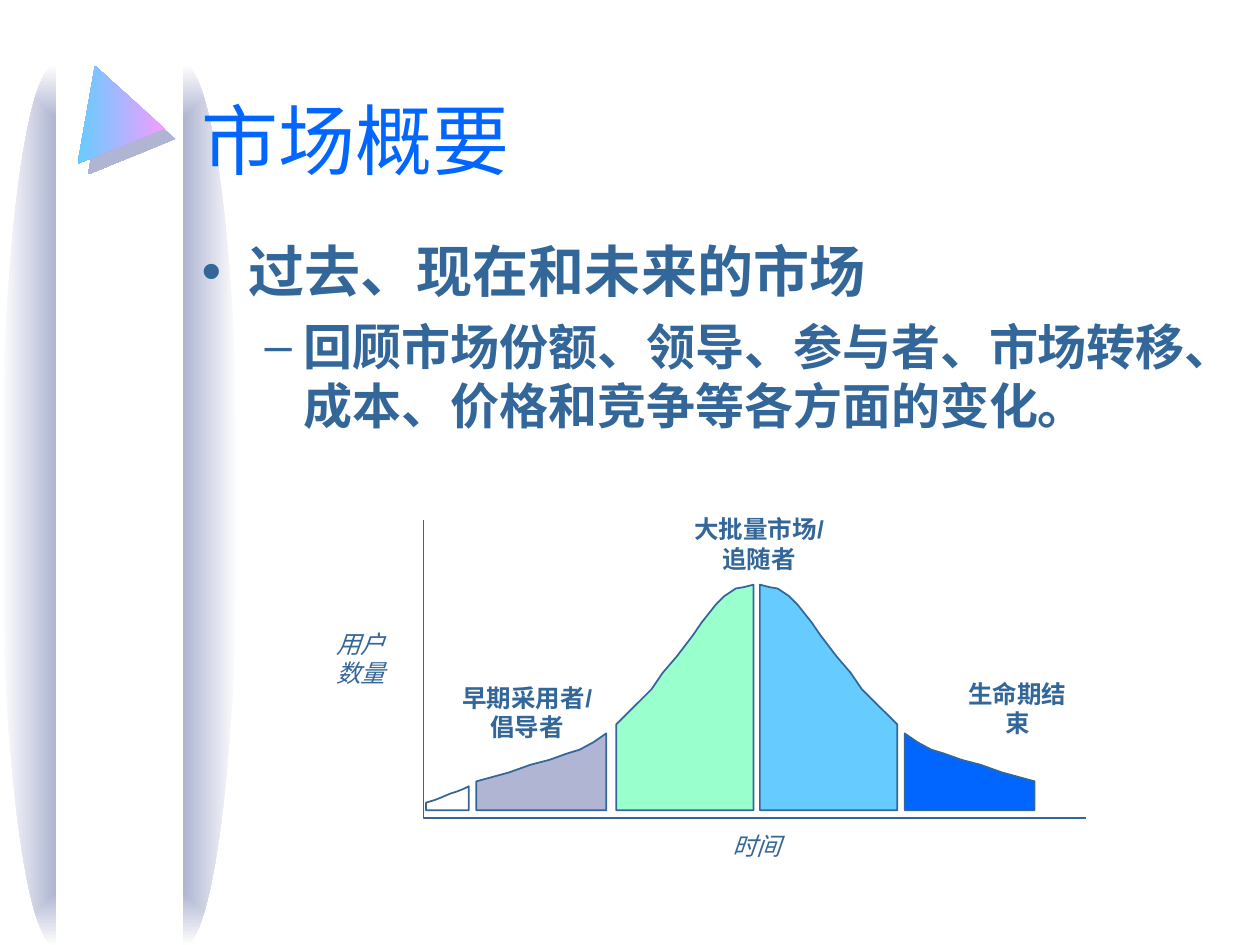
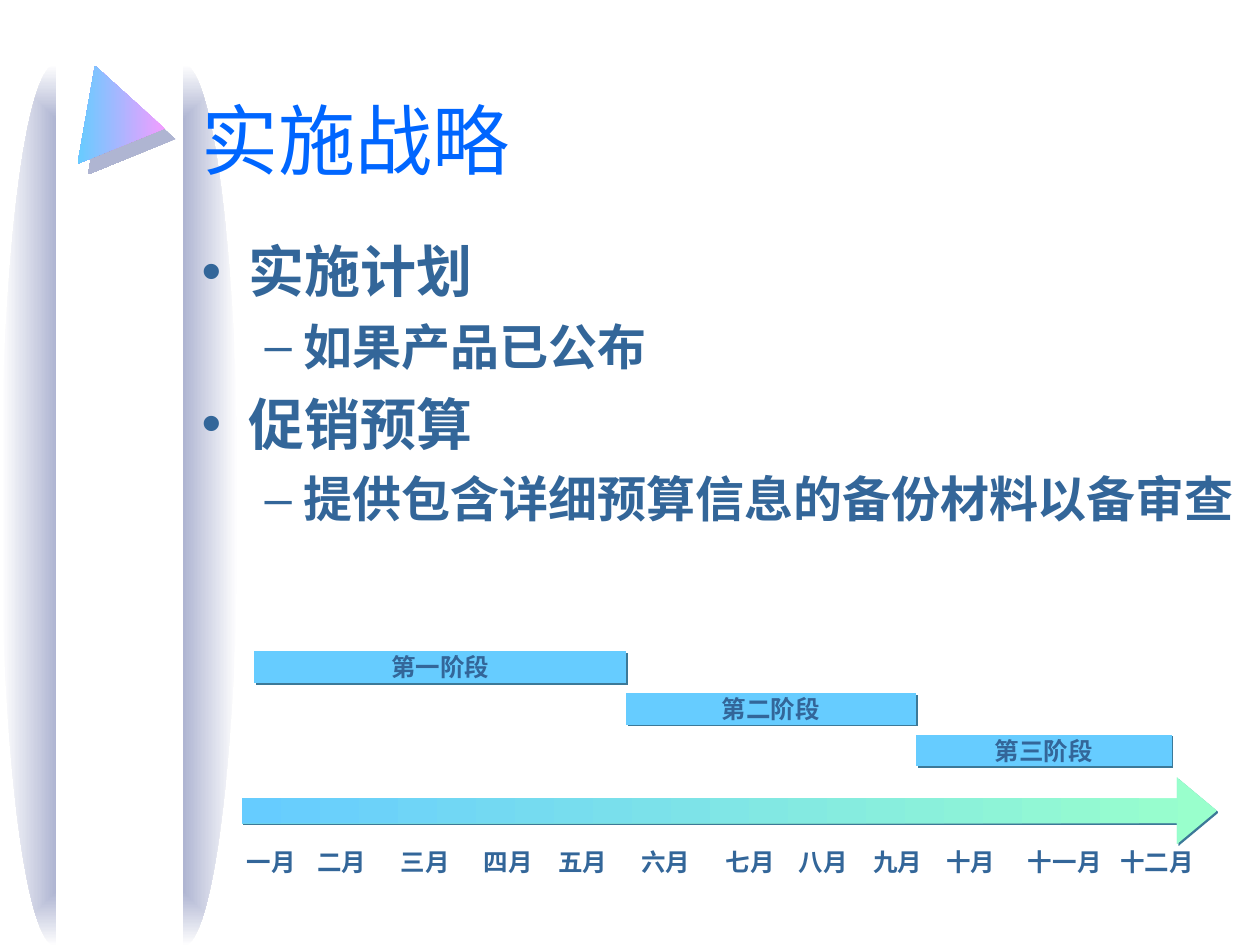
"""Build two slides: a market overview curve and a rollout timeline."""
from lxml.etree import SubElement as Sub
from pptx import Presentation
from pptx.dml.color import RGBColor as Rgb
from pptx.enum.shapes import MSO_SHAPE as Kind
from pptx.enum.text import MSO_ANCHOR as Anchor, MSO_AUTO_SIZE as Fit, PP_ALIGN as Align
from pptx.oxml.ns import qn
from pptx.util import Pt

NAVY = Rgb(0x33, 0x66, 0x99)
BLUE = Rgb(0x00, 0x66, 0xFF)
SKY = Rgb(0x66, 0xCC, 0xFF)
MINT = Rgb(0x99, 0xFF, 0xCC)
LILAC = Rgb(0xAF, 0xB5, 0xD2)
PINK = Rgb(0xFF, 0x99, 0xFF)
TEAL = Rgb(0x3C, 0x79, 0x98)
WHITE = Rgb(0xFF, 0xFF, 0xFF)

HEAD = {"name": "Times New Roman", "size": Pt(44)}
LIST = [
    ({"name": "Arial", "size": Pt(32), "bold": True}, Pt(8)),
    ({"name": "Arial", "size": Pt(28), "bold": True}, Pt(7)),
]
NOTE = {"name": "Arial", "size": Pt(14), "bold": True}
AXIS = {"name": "Arial", "size": Pt(14), "italic": True}

MARKET = ("市场概要", [
    (0, "过去、现在和未来的市场"),
    (1, "回顾市场份额、领导、参与者、市场转移、成本、价格和竞争等各方面的变化。"),
])
PLAN = ("实施战略", [
    (0, "实施计划"),
    (1, "如果产品已公布"),
    (0, "促销预算"),
    (1, "提供包含详细预算信息的备份材料以备审查"),
])

FRAMES = [(108, 19.4, 612, 90), (108, 131.8, 612, 324)]
ARCS = [(0.7, (54, 162)), (73.4, (162, 54))]

BASE = 463
START = [(0, 4.3), (5, 5.8), (8.6, 7.2), (13.7, 9.4), (18, 10.8), (21.6, 12.2), (24.5, 13.7)]
EARLY = [(0, 16.5), (8, 18.7), (18.7, 21.6), (31, 26), (41.8, 28.8), (51.8, 32.4),
         (59, 34.6), (67, 38.9), (74.2, 43.9)]
HILL = [(0, 49), (7.2, 56.2), (13.7, 62.6), (20.2, 69.1), (26.6, 78.5), (34.6, 87.8),
        (43.9, 100), (48.9, 107.3), (56.9, 117.4), (61.9, 122.4), (68.4, 126.7),
        (72.7, 127.4), (78.5, 128.9)]
PARTS = [
    (272.2, EARLY, False, LILAC),
    (352.1, HILL, False, MINT),
    (243.4, START, False, WHITE),
    (517, EARLY, True, BLUE),
    (434.2, HILL, True, SKY),
]
AXES = [(242, 297.4), (242, 467.3), (620.6, 467.3)]
LABELS = [
    ("早期采用者/\n倡导者", (255.6, 386.6, 91.4, 41), NOTE),
    ("大批量市场/\n追随者", (388.1, 290.2, 91.4, 41), NOTE),
    ("生命期结束", (539.3, 392.4, 84.2, 24.5), NOTE),
    ("用户\n数量", (185, 355.7, 42.5, 41), AXIS),
    ("时间", (411.1, 470.9, 42.5, 24.5), AXIS),
]

PHASES = [("第一阶段", 212.4), ("第二阶段", 165.6), ("第三阶段", 146.2)]
ARROW = (138.2, 444.2, 557.3, 38.2)
MONTHS = [
    ("一月", 133.9), ("二月", 174.2), ("三月", 221.8), ("四月", 269.3),
    ("五月", 311.8), ("六月", 359.3), ("七月", 407.5), ("八月", 449.3),
    ("九月", 491.8), ("十月", 533.5), ("十一月", 580.3), ("十二月", 632.9),
]


def style(para, form, hue=NAVY):
    for key, val in form.items():
        setattr(para.font, key, val)
    para.font.color.rgb = hue


def write(shape, text, form):
    frame = shape.text_frame
    frame.word_wrap = False
    frame.vertical_anchor = Anchor.MIDDLE
    frame.text = text
    for para in frame.paragraphs:
        para.alignment = Align.CENTER
        style(para, form)


def label(slide, text, box, form):
    write(slide.shapes.add_textbox(*map(Pt, box)), text, form)


def draw(slide, kind, box, adjust=()):
    shape = slide.shapes.add_shape(kind, *map(Pt, box))
    shape.shadow.inherit = False
    shape.line.fill.background()
    for i, val in enumerate(adjust):
        shape.adjustments[i] = val
    return shape


def paint(shape, hue):
    shape.fill.solid()
    shape.fill.fore_color.rgb = hue


def blend(shape, *hues):
    shape.fill.gradient()
    shape.fill.gradient_angle = 180
    for stop, hue in zip(shape.fill.gradient_stops, hues):
        stop.color.rgb = hue
    grad = shape.element.spPr.find(qn("a:gradFill"))
    grad.set("rotWithShape", "0")
    return grad


def glow(shape):
    grad = blend(shape, LILAC, WHITE)
    grad.remove(grad.find(qn("a:lin")))
    route = Sub(grad, qn("a:path"), {"path": "rect"})
    Sub(route, qn("a:fillToRect"), dict.fromkeys("ltrb", "50000"))


def shade(shape, hue, dist):
    effect = shape.element.spPr.find(qn("a:effectLst"))
    cast = Sub(effect, qn("a:outerShdw"), {
        "blurRad": "0", "dist": str(Pt(dist)), "dir": "2700000",
        "algn": "ctr", "rotWithShape": "0"})
    Sub(cast, qn("a:srgbClr"), {"val": str(hue)})


def trace(slide, points, close):
    first, *rest = [(Pt(x), Pt(y)) for x, y in points]
    pen = slide.shapes.build_freeform(*first)
    pen.add_line_segments(rest, close=close)
    shape = pen.convert_to_shape()
    shape.shadow.inherit = False
    shape.line.color.rgb = NAVY
    shape.line.width = Pt(1)
    return shape


def brand(deck, layout, slide):
    for hold, box in zip(layout.placeholders, FRAMES):
        hold.left, hold.top, hold.width, hold.height = map(Pt, box)
    marks = []
    for left, turn in ARCS:
        arc = draw(slide, Kind.ARC, (left, 36.7, 62.6, 504), turn)
        glow(arc)
        marks.append(arc)
    peak = draw(slide, Kind.ISOSCELES_TRIANGLE, (43.2, 46.8, 56.9, 45.4))
    peak.rotation = 100
    blend(peak, PINK, SKY)
    shade(peak, LILAC, 8.5)
    tree = deck.slide_master.shapes._spTree
    for i, mark in enumerate([*marks, peak]):
        tree.insert(2 + i, mark.element)


def fill(slide, head, items):
    title, body = slide.placeholders
    title.text_frame.text = head
    title.text_frame.vertical_anchor = Anchor.BOTTOM
    para = title.text_frame.paragraphs[0]
    para.alignment = Align.LEFT
    style(para, HEAD, BLUE)
    body.text_frame.text = "\n".join(text for _, text in items)
    for para, (level, _) in zip(body.text_frame.paragraphs, items):
        form, gap = LIST[level]
        para.level = level
        para.space_before = gap
        style(para, form)
    for hold in (title, body):
        hold.text_frame.auto_size = Fit.NONE


def curve(slide):
    trace(slide, AXES, False).fill.background()
    for left, rise, flip, hue in PARTS:
        wide = rise[-1][0]
        edge = [(0, 0), *rise, (wide, 0)]
        points = [(left + (wide - x if flip else x), BASE - y) for x, y in edge]
        paint(trace(slide, points, True), hue)
    for item in LABELS:
        label(slide, *item)


def timeline(slide):
    left = 145.4
    for i, (text, wide) in enumerate(PHASES):
        bar = draw(slide, Kind.FLOWCHART_PROCESS, (left, 372.2 + 23.8 * i, wide, 18))
        paint(bar, SKY)
        shade(bar, TEAL, 1.4)
        write(bar, text, NOTE)
        left += wide
    arrow = draw(slide, Kind.RIGHT_ARROW, ARROW, (0.37, 0.6))
    blend(arrow, MINT, SKY)
    shade(arrow, TEAL, 1.4)
    for text, left in MONTHS:
        label(slide, text, (left, 480.2, 14 * len(text) + 14.4, 24.5), NOTE)


def main():
    deck = Presentation()
    deck.slide_width, deck.slide_height = Pt(720), Pt(540)
    layout = deck.slide_layouts[1]
    pages = [deck.slides.add_slide(layout) for _ in range(2)]
    brand(deck, layout, pages[0])
    for page, words, scene in zip(pages, (MARKET, PLAN), (curve, timeline)):
        fill(page, *words)
        scene(page)
    deck.save("out.pptx")


if __name__ == "__main__":
    main()
